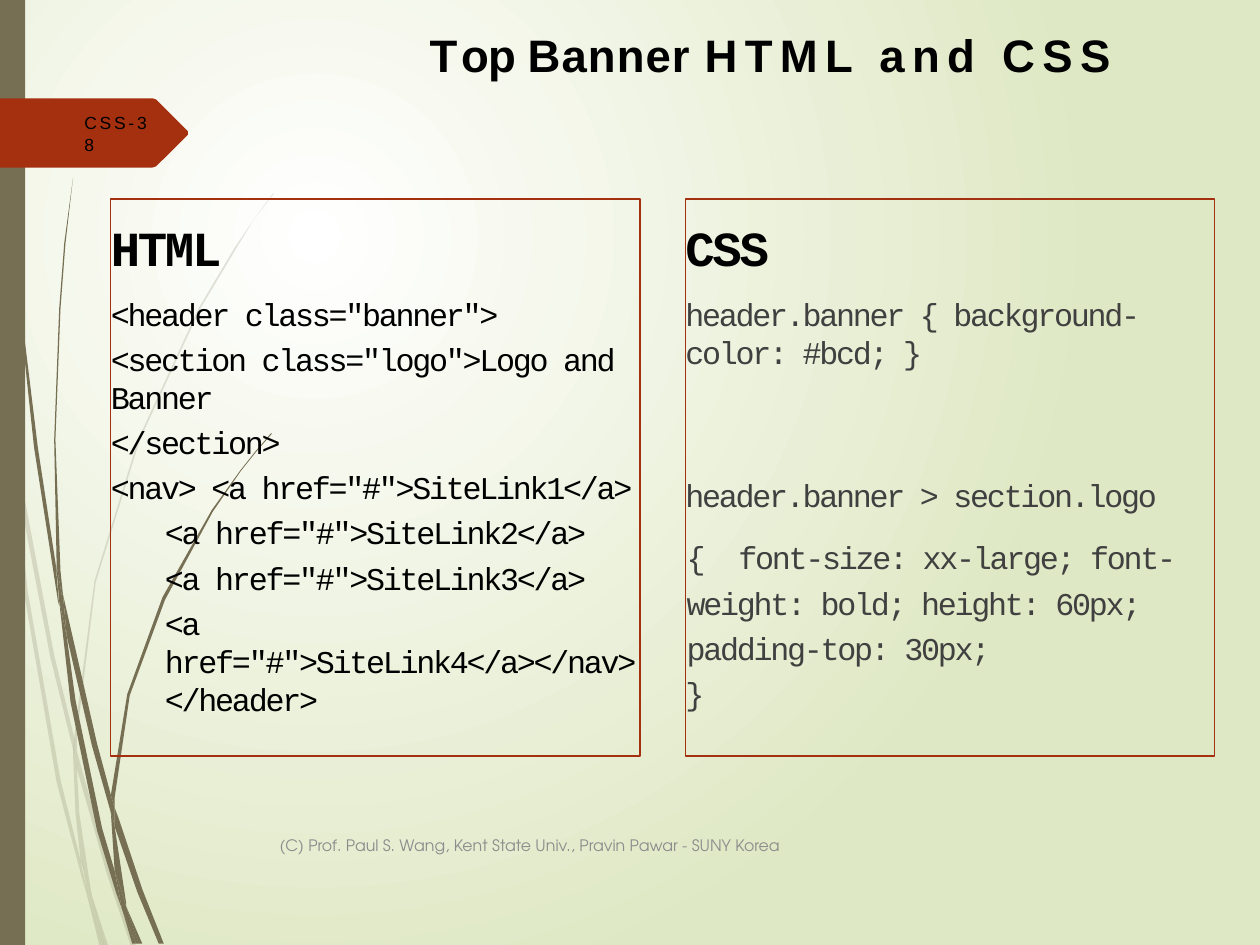
from pptx import Presentation
from pptx.dml.color import RGBColor
from pptx.enum.shapes import MSO_SHAPE
from pptx.enum.text import MSO_ANCHOR, PP_ALIGN
from pptx.oxml.ns import qn
from pptx.util import Pt
from lxml.etree import SubElement

PX = 9144  # 100 px to the inch
rgb = RGBColor.from_string
OLIVE, RUST, BLACK, GREY = "766F54", "A53010", "000000", "404040"

prs = Presentation()
prs.slide_width, prs.slide_height = 1000 * PX, 750 * PX
slide = prs.slides.add_slide(prs.slide_layouts[5])
shapes = slide.shapes

# Background: white glow towards the upper left
glow = slide.background.fill
glow.gradient()
for stop, color in zip(glow.gradient_stops, ("FFFFFF", "DFE8C4")):
    stop.color.rgb = rgb(color)
grad = slide.element.find(".//" + qn("a:gradFill"))
grad.remove(grad.find(qn("a:lin")))
circle = SubElement(grad, qn("a:path"), path="circle")
SubElement(circle, qn("a:fillToRect"), l="50000", t="50000", r="100000", b="100000")


def outline(text, color):
    """Draw a filled outline through the x y pairs listed in text."""
    nums = [int(n) for n in text.split()]
    points = list(zip(nums[::2], nums[1::2]))
    build = shapes.build_freeform(*points[0], scale=PX)
    build.add_line_segments(points[1:], close=True)
    shape = build.convert_to_shape()
    shape.shadow.inherit = False
    shape.fill.solid()
    shape.fill.fore_color.rgb = rgb(color)
    shape.line.fill.background()
    return shape


def write(para, text, size, font, color, bold=False, gap=0):
    """Add one run; gap is the letter spacing in points."""
    run = para.add_run()
    run.text = text
    run.font.size, run.font.name, run.font.bold = Pt(size), font, bold
    run.font.color.rgb = rgb(color)
    if gap:
        run.font._element.set("spc", str(round(gap * 100)))


# Grass blades
pale = [
    "8 350 6 322 0 282 0 299 7 344",
    "40 522 59 599 59 586 43 520 10 345 12 376",
    "64 607 61 596 61 610 85 694 104 751 108 751 88 692",
    "83 751 86 751 73 711",
    "64 683 48 619 22 469 12 376 8 350 19 470 45 621 64 693 70 714 69 707",
    "58 599 60 646 64 683 67 692 73 711 72 706 63 646 61 610 61 608",
    "61 584 76 462 111 349 159 245 187 198 201 175 217 154 217 153 201 175 "
    "186 197 158 244 110 348 75 461 59 584 59 586 61 596",
    "70 714 79 751 82 751",
    "61 608 61 610 61 596 59 586 58 599",
    "67 692 65 683 69 707 70 714 82 751 83 751 73 711",
]
dark = [
    "5 110 14 233 27 355 46 477 47 481 45 457 45 453 30 355 15 232 6 109 4 48 3 0 2 0 3 48",
    "73 592 88 645 88 633 88 631 77 590 50 472 53 505",
    "94 649 91 641 91 656 109 708 126 749 130 749 113 706",
    "91 691 81 657 60 556 53 505 47 477 56 557 77 659 92 708 97 722 96 717",
    "50 472 48 453 44 349 48 245 52 193 58 141 51 193 47 245 43 349 45 449 49 472",
    "110 749 113 749 100 719",
    "47 477 53 505 50 472 49 472 45 449 45 453",
    "91 633 103 552 131 476 169 406 191 374 203 359 216 344 215 344 203 358 "
    "191 373 168 405 129 474 101 551 88 631 91 641",
    "97 722 105 749 108 749",
    "88 645 91 691 96 706 100 719 100 716 91 656 90 651",
    "88 645 90 651 91 656 91 641 88 631 88 633",
    "96 706 91 691 96 717 97 722 108 749 110 749 100 719",
]
for blade in pale:
    tint = outline(blade, OLIVE)._element.find(".//" + qn("a:srgbClr"))
    SubElement(tint, qn("a:alpha"), val="20000")
for blade in dark:
    outline(blade, OLIVE)

# Side bar and page number flag
bar = shapes.add_shape(MSO_SHAPE.RECTANGLE, 0, 0, 20 * PX, 750 * PX)
bar.shadow.inherit = False
bar.fill.solid()
bar.fill.fore_color.rgb = rgb(OLIVE)
bar.line.fill.background()
outline("149 107 124 132 121 133 0 133 0 78 121 78 124 79 149 104", RUST)

# Title
title = shapes.title
title.left, title.top, title.width, title.height = 183 * PX, 0, 721 * PX, 86 * PX
frame = title.text_frame
frame.margin_left = frame.margin_right = frame.margin_top = frame.margin_bottom = 0
frame.vertical_anchor = MSO_ANCHOR.MIDDLE
para = frame.paragraphs[0]
para.alignment = PP_ALIGN.LEFT
para._p.get_or_add_pPr().set("marL", str(158 * PX))
for text, gap in (("T", 2.1), ("op ", -0.5), ("Banner ", 0.6), ("HTML and CSS", 4.2)):
    write(para, text, 26, "Arial", BLACK, True, gap)

# Code panels: text, space before in points, indent in px
html = [
    ('<header class="banner">', 10, 0),
    ('<section class="logo">Logo and Banner', 4.1, 0),
    ("</section>", 4.1, 0),
    ('<nav> <a href="#">SiteLink1</a>', 4.1, 0),
    ('<a href="#">SiteLink2</a>', 4.1, 43),
    ('<a href="#">SiteLink3</a>', 4.1, 43),
    ('<a href="#">SiteLink4</a></nav></header>', 4.1, 43),
]
css = [
    ("header.banner { background-color: #bcd; }", 10, 0),
    ("header.banner > section.logo", 60, 0),
    ("{\tfont-size: xx-large; font-weight: bold; height: 60px; padding-top: 30px;", 10, 1),
    ("}", 4.1, 0),
]
for left, head, color, code in ((88, "HTML", BLACK, html), (544, "CSS", GREY, css)):
    panel = shapes.add_shape(MSO_SHAPE.RECTANGLE, left * PX, 158 * PX, 420 * PX, 442 * PX)
    panel.shadow.inherit = False
    panel.fill.background()
    panel.line.color.rgb = rgb(RUST)
    panel.line.width = Pt(0.75)
    frame = panel.text_frame
    frame.word_wrap = True
    frame.vertical_anchor = MSO_ANCHOR.TOP
    frame.margin_left = frame.margin_right = frame.margin_bottom = 0
    frame.margin_top = 15 * PX
    para = frame.paragraphs[0]
    para.alignment = PP_ALIGN.LEFT
    write(para, head, 28, "Courier New", BLACK, True, -1.3)
    for text, before, indent in code:
        para = frame.add_paragraph()
        para.alignment = PP_ALIGN.LEFT
        para.space_before = Pt(before)
        props = para._p.get_or_add_pPr()
        props.set("marL", str(indent * PX))
        if "\t" in text:
            para.line_spacing = 1.19
            tabs = SubElement(props, qn("a:tabLst"))
            SubElement(tabs, qn("a:tab"), pos=str(41 * PX), algn="l")
        write(para, text, 18.1, "Courier New", color, False, -1.3)

# Page number and footer
number = shapes.add_textbox(56 * PX, 86 * PX, 64 * PX, 40 * PX).text_frame
number.margin_left = number.margin_right = number.margin_top = number.margin_bottom = 0
number.paragraphs[0]._p.get_or_add_pPr().set("marL", str(11 * PX))
for text, gap in (("CSS-", 1.6), ("38", 1.4)):
    write(number.paragraphs[0], text, 10, "Arial", BLACK, False, gap)
footer = shapes.add_textbox(212 * PX, 651 * PX, 625 * PX, 40 * PX).text_frame
write(footer.paragraphs[0], "(C) Prof. Paul S. Wang, Kent State Univ., Pravin Pawar - SUNY Korea",
      9, "TeX Gyre Adventor", "8C8C8C")
for frame in (number, footer):
    frame.word_wrap = True
    frame.vertical_anchor = MSO_ANCHOR.MIDDLE

prs.save("out.pptx")
